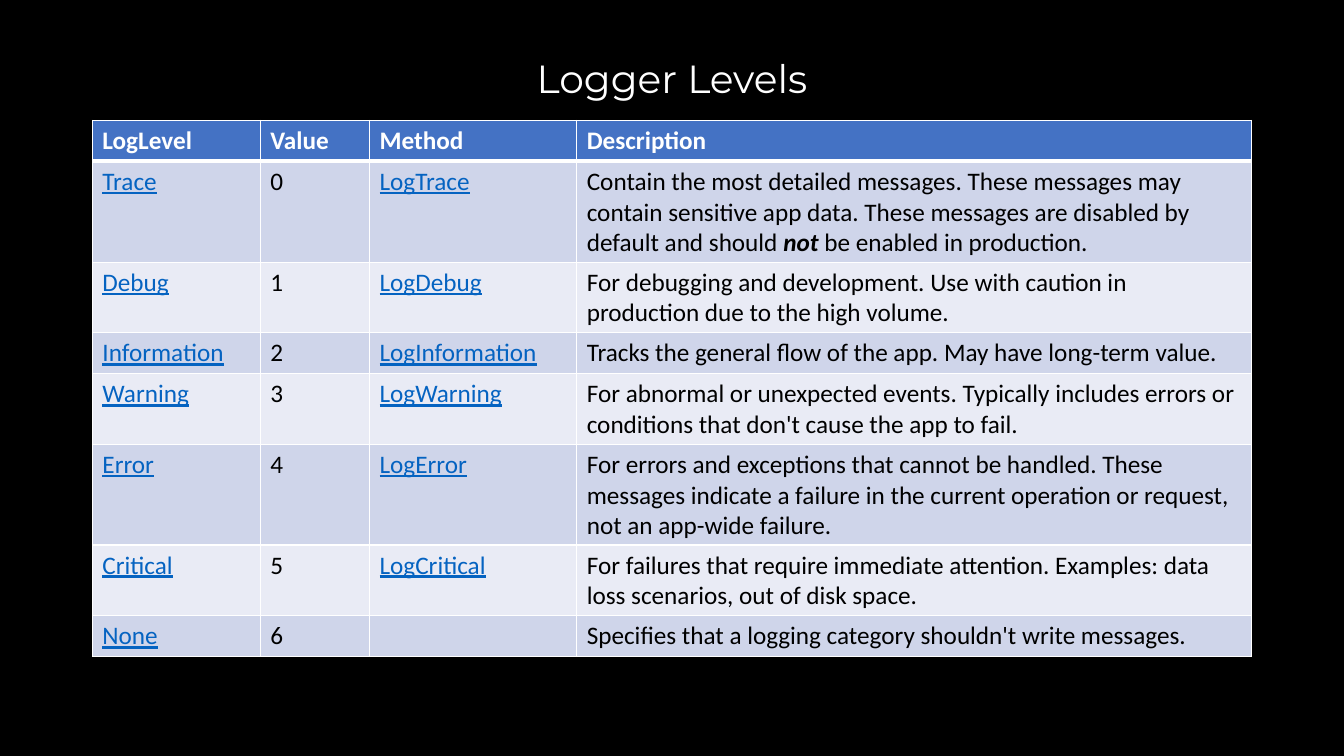
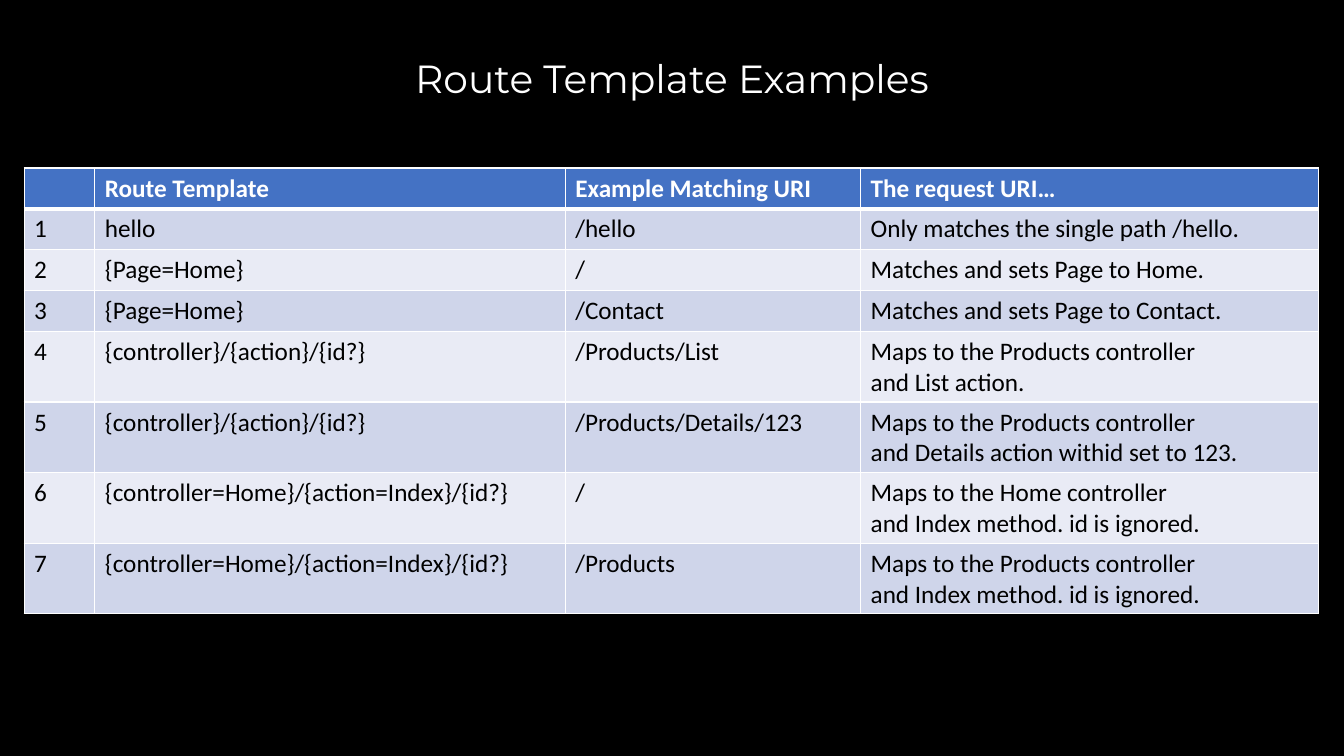
from lxml.etree import fromstring
from pptx import Presentation
from pptx.dml.color import RGBColor
from pptx.enum.text import MSO_ANCHOR, PP_ALIGN
from pptx.util import Pt

WHITE, BLACK = "FFFFFF", "000000"
HEAD, LINK = "4472C4", "0563C1"
BANDS = ("CFD5EA", "E9EBF5")
ROW = 29.2
NBSP = chr(160)
XMLNS = "http://schemas.openxmlformats.org/drawingml/2006/main"

# In the texts, ~ is a non-breaking space and *...* is strong emphasis.
LEVELS = [
    ("LogLevel", "Value", "Method", "Description"),
    ("Trace", "0", "LogTrace",
     "Contain the most detailed messages. These messages may contain sensitive "
     "app data. These messages are disabled by default and should~*not*~be "
     "enabled in production."),
    ("Debug", "1", "LogDebug",
     "For debugging and development. Use with caution in production due to "
     "the high volume."),
    ("Information", "2", "LogInformation",
     "Tracks the general flow of the app. May have long-term value."),
    ("Warning", "3", "LogWarning",
     "For abnormal or unexpected events. Typically includes errors or "
     "conditions that don't cause the app to fail."),
    ("Error", "4", "LogError",
     "For errors and exceptions that cannot be handled. These messages indicate "
     "a failure in the current operation or request, not an app-wide failure."),
    ("Critical", "5", "LogCritical",
     "For failures that require immediate attention. Examples: data loss "
     "scenarios, out of disk space."),
    ("None", "6", "",
     "Specifies that a logging category shouldn't write messages."),
]

ROUTES = [
    ("", "Route Template", "Example Matching URI", "The request URI…"),
    ("1", "hello", "/hello", "Only matches the single path~/hello."),
    ("2", "{Page=Home}", "/", "Matches and sets~Page~to~Home."),
    ("3", "{Page=Home}", "/Contact", "Matches and sets~Page~to~Contact."),
    ("4", "{controller}/{action}/{id?}", "/Products/List",
     "Maps to the~Products~controller and~List~action."),
    ("5", "{controller}/{action}/{id?}", "/Products/Details/123",
     "Maps to the~Products~controller and~Details~action withid~set to 123."),
    ("6", "{controller=Home}/{action=Index}/{id?}", "/",
     "Maps to the~Home~controller and~Index~method.~id~is ignored."),
    ("7", "{controller=Home}/{action=Index}/{id?}", "/Products",
     "Maps to the~Products~controller and~Index~method.~id~is ignored."),
]


def rgb(code):
    return RGBColor.from_string(code)


def style(font, name, size, color):
    font.name, font.size = name, Pt(size)
    font.color.rgb = rgb(color)


def add_title(slide, text, left, top, width, height):
    box = slide.shapes.add_textbox(Pt(left), Pt(top), Pt(width), Pt(height))
    frame = box.text_frame
    frame.word_wrap = True
    frame.vertical_anchor = MSO_ANCHOR.MIDDLE
    para = frame.paragraphs[0]
    para.text = text
    para.alignment = PP_ALIGN.CENTER
    para.line_spacing = 0.9
    style(para.font, "Montserrat", 28, WHITE)


def set_edges(cell, top, bottom):
    """Draw white cell borders; top and bottom are widths in points."""
    props = cell._tc.get_or_add_tcPr()
    for i, (side, width) in enumerate(zip("LRTB", (1, 1, top, bottom))):
        props.insert(i, fromstring(
            f'<a:ln{side} xmlns:a="{XMLNS}" w="{Pt(width)}"><a:solidFill>'
            f'<a:srgbClr val="{WHITE}"/></a:solidFill></a:ln{side}>'))


def fill_cell(cell, text, row, linked):
    head = row == 0
    cell.fill.solid()
    cell.fill.fore_color.rgb = rgb(HEAD if head else BANDS[(row - 1) % 2])
    set_edges(cell, 3 if row == 1 else 1, 3 if head else 1)
    para = cell.text_frame.paragraphs[0]
    color = WHITE if head else LINK if linked else BLACK
    style(para.font, "Calibri", 18, color)
    para.font.bold = head
    para.font.underline = linked and not head
    for i, part in enumerate(text.replace("~", NBSP).split("*")):
        if part:
            run = para.add_run()
            run.text = part
            if i % 2:
                run.font.bold = run.font.italic = True


def add_grid(slide, rows, left, top, widths, links=()):
    """Place a table; links are the columns set as hyperlinks."""
    table = slide.shapes.add_table(
        len(rows), len(widths), Pt(left), Pt(top),
        Pt(sum(widths)), Pt(ROW * len(rows))).table
    table.first_row = table.horz_banding = False
    for col, width in zip(table.columns, widths):
        col.width = Pt(width)
    for r, texts in enumerate(rows):
        for c, text in enumerate(texts):
            fill_cell(table.cell(r, c), text, r, c in links)


def add_page(deck, title, *grid):
    slide = deck.slides.add_slide(deck.slide_layouts[6])
    add_title(slide, title, 66, 28.8, 828, 57.6)
    add_grid(slide, *grid)


def main():
    deck = Presentation()
    deck.slide_width, deck.slide_height = Pt(960), Pt(540)
    back = deck.slide_master.background.fill
    back.solid()
    back.fore_color.rgb = rgb(BLACK)
    add_page(deck, "Logger Levels",
             LEVELS, 66, 86, (120, 78, 148, 482), (0, 2))
    add_page(deck, "Route Template Examples",
             ROUTES, 17.25, 120, (50.5, 336, 211, 327))
    deck.save("out.pptx")


if __name__ == "__main__":
    main()
